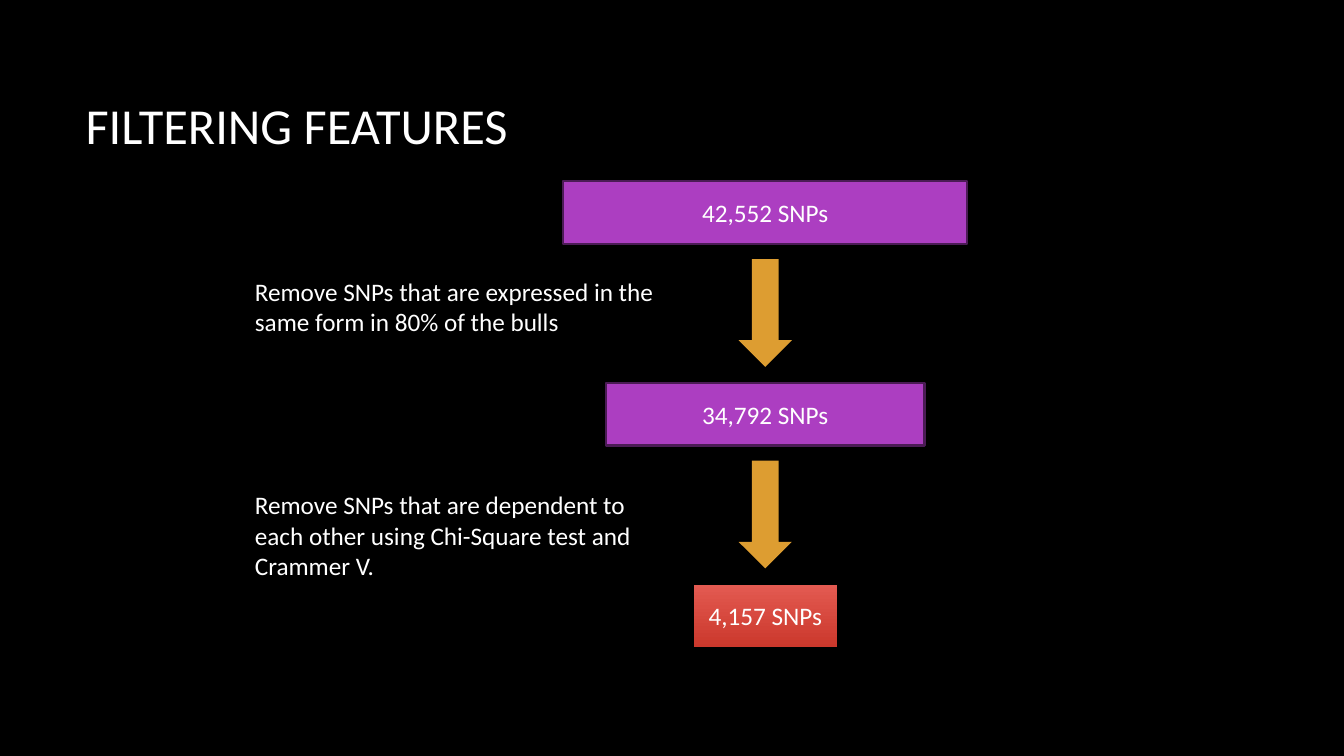
import pptx
import pptx.dml.color
import pptx.enum.shapes
import pptx.enum.text
import pptx.util
from pptx.util import Inches

COLORS = {
    "background": "000000",
    "text": "FFFFFF",
    "stage": "AC3EC1",
    "stage_line": "4B1B55",
    "arrow": "DD9D31",
    "result_top": "E35A51",
    "result_bottom": "CB382C",
}
CENTER = 7.59
FIRST_TOP, PITCH = 1.8, 2.0
BAR_HEIGHT = 0.62
ARROW_WIDTH, ARROW_HEIGHT, ARROW_OFFSET = 0.53, 1.07, 0.77


class FunnelSlide:
    font = "Calibri"
    body_size = 18
    title_size = 36

    def __init__(self, presentation):
        self.slide = presentation.slides.add_slide(presentation.slide_layouts[6])
        background = self.slide.background.fill
        background.solid()
        background.fore_color.rgb = self.color("background")

    def color(self, name):
        return pptx.dml.color.RGBColor.from_string(COLORS[name])

    def fill_text(self, frame, words, size, anchor, align):
        frame.word_wrap = True
        frame.vertical_anchor = anchor
        paragraph = frame.paragraphs[0]
        paragraph.alignment = align
        run = paragraph.add_run()
        run.text = words
        run.font.name = self.font
        run.font.size = pptx.util.Pt(size)
        run.font.color.rgb = self.color("text")

    def text(self, words, left, top, width, height, size=body_size,
             anchor=pptx.enum.text.MSO_ANCHOR.TOP):
        box = self.slide.shapes.add_textbox(
            Inches(left), Inches(top), Inches(width), Inches(height))
        self.fill_text(box.text_frame, words, size, anchor, pptx.enum.text.PP_ALIGN.LEFT)

    def centered_shape(self, kind, top, width, height):
        """Add a preset shape centred on the funnel's axis."""
        shape = self.slide.shapes.add_shape(
            kind, Inches(CENTER - width / 2), Inches(top), Inches(width), Inches(height))
        shape.shadow.inherit = False
        shape.line.fill.background()
        return shape

    def bar(self, words, top, width):
        bar = self.centered_shape(
            pptx.enum.shapes.MSO_SHAPE.RECTANGLE, top, width, BAR_HEIGHT)
        self.fill_text(bar.text_frame, words, self.body_size,
                       pptx.enum.text.MSO_ANCHOR.MIDDLE, pptx.enum.text.PP_ALIGN.CENTER)
        return bar

    def stage(self, words, top, width):
        bar = self.bar(words, top, width)
        bar.fill.solid()
        bar.fill.fore_color.rgb = self.color("stage")
        bar.line.color.rgb = self.color("stage_line")
        bar.line.width = pptx.util.Pt(1.5)

    def result(self, words, top, width):
        bar = self.bar(words, top, width)
        bar.fill.gradient()
        bar.fill.gradient_angle = 270
        for stop, name in zip(bar.fill.gradient_stops, ("result_top", "result_bottom")):
            stop.color.rgb = self.color(name)

    def arrow(self, top):
        arrow = self.centered_shape(
            pptx.enum.shapes.MSO_SHAPE.DOWN_ARROW, top, ARROW_WIDTH, ARROW_HEIGHT)
        arrow.fill.solid()
        arrow.fill.fore_color.rgb = self.color("arrow")


def main():
    presentation = pptx.Presentation()
    presentation.slide_width = Inches(13.33)
    presentation.slide_height = Inches(7.5)
    funnel = FunnelSlide(presentation)

    funnel.text("FILTERING FEATURES", 0.75, 0.67, 11.08, 1.13,
                funnel.title_size, pptx.enum.text.MSO_ANCHOR.MIDDLE)
    stages = [("42,552 SNPs", 4.01), ("34,792 SNPs", 3.16)]
    for row, (count, width) in enumerate(stages):
        top = FIRST_TOP + row * PITCH
        funnel.stage(count, top, width)
        funnel.arrow(top + ARROW_OFFSET)
    funnel.result("4,157 SNPs", FIRST_TOP + len(stages) * PITCH, 1.42)

    filters = [
        ("Remove SNPs that are expressed in the same form in 80% of the bulls", 2.69, 0.71),
        ("Remove SNPs that are dependent to each other using Chi-Square test "
         "and Crammer V.", 4.81, 1.01),
    ]
    for rule, top, height in filters:
        funnel.text(rule, 2.43, top, 4.2, height)

    presentation.save("out.pptx")


if __name__ == "__main__":
    main()
